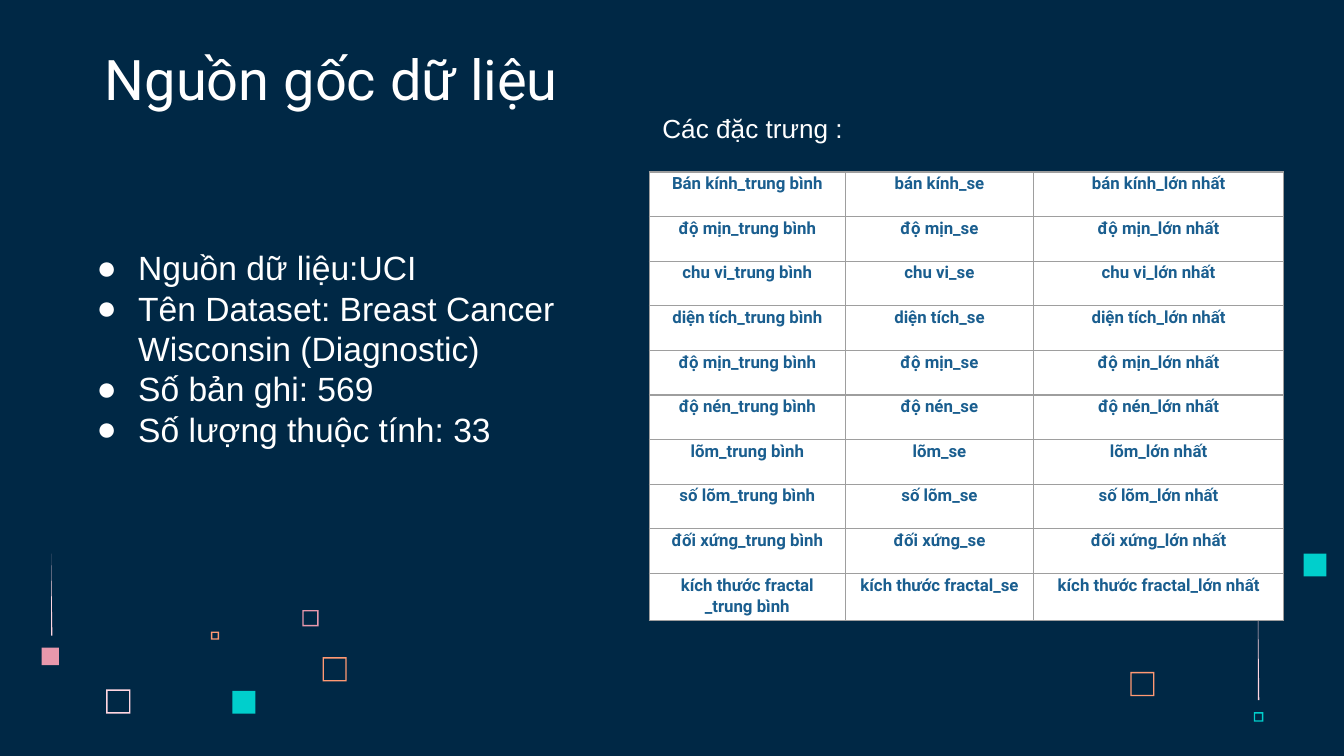
from dataclasses import dataclass

from lxml.etree import SubElement
from pptx import Presentation
from pptx.dml.color import RGBColor
from pptx.enum.shapes import MSO_SHAPE
from pptx.enum.text import MSO_ANCHOR, MSO_AUTO_SIZE, PP_ALIGN
from pptx.oxml.ns import qn
from pptx.util import Inches, Pt


@dataclass(frozen=True)
class Theme:
    background: str = "002845"
    white: str = "FFFFFF"
    cell_text: str = "1A5E8F"
    border: str = "9E9E9E"
    pale_pink: str = "FFD6E1"
    pink: str = "E898AC"
    orange: str = "FF9973"
    teal: str = "00CFCC"
    heading_font: str = "Roboto"
    body_font: str = "Arial"
    title_size: int = 30
    body_size: int = 18
    caption_size: int = 14
    cell_size: int = 9
    border_width: float = 0.75


class SlideBuilder:
    def __init__(self, slide, theme):
        self.slide = slide
        self.theme = theme
        slide.background.fill.solid()
        slide.background.fill.fore_color.rgb = RGBColor.from_string(theme.background)

    def style(self, paragraph, font_name, size, color, bold=False):
        font = paragraph.font
        font.name, font.size, font.bold = font_name, Pt(size), bold
        font.color.rgb = RGBColor.from_string(color)

    def fill(self, shape, color):
        shape.shadow.inherit = False
        shape.fill.solid()
        shape.fill.fore_color.rgb = RGBColor.from_string(color)
        shape.line.fill.background()

    def title(self, text, left, top, width, height):
        shape = self.slide.shapes.title
        shape.left, shape.top = Inches(left), Inches(top)
        shape.width, shape.height = Inches(width), Inches(height)
        frame = shape.text_frame
        frame.auto_size = MSO_AUTO_SIZE.NONE
        frame.vertical_anchor = MSO_ANCHOR.BOTTOM
        frame.margin_left = frame.margin_right = Inches(0.1)
        frame.margin_top = frame.margin_bottom = Inches(0.1)
        frame.text = text
        paragraph = frame.paragraphs[0]
        paragraph.alignment = PP_ALIGN.LEFT
        self.style(paragraph, self.theme.heading_font, self.theme.title_size, self.theme.white)

    def text_box(self, lines, left, top, width, height, size):
        shape = self.slide.shapes.add_textbox(
            Inches(left), Inches(top), Inches(width), Inches(height))
        frame = shape.text_frame
        frame.word_wrap = True
        frame.text = "\n".join(lines)
        for paragraph in frame.paragraphs:
            self.style(paragraph, self.theme.body_font, size, self.theme.white)
        return frame

    def bullet_list(self, items, left, top, width, height):
        frame = self.text_box(items, left, top, width, height, self.theme.body_size)
        frame.margin_top = frame.margin_bottom = Inches(0.1)
        for paragraph in frame.paragraphs:
            properties = paragraph._p.get_or_add_pPr()
            properties.set("marL", str(Inches(0.31)))
            properties.set("indent", str(-Inches(0.31)))
            run_defaults = properties.find(qn("a:defRPr"))
            for tag, attributes in (("a:buFont", {"typeface": self.theme.body_font}),
                                    ("a:buChar", {"char": "●"})):
                run_defaults.addprevious(properties.makeelement(qn(tag), attributes))

    def square(self, left, top, size, color, kind=MSO_SHAPE.RECTANGLE):
        shape = self.slide.shapes.add_shape(
            kind, Inches(left), Inches(top), Inches(size), Inches(size))
        self.fill(shape, color)
        return shape

    def frame(self, left, top, size, color):
        """A square ring with a thin border."""
        shape = self.square(left, top, size, color, MSO_SHAPE.FRAME)
        shape.adjustments[0] = 0.01 / size

    def taper(self, left, top, height, color):
        """A thin vertical sliver that narrows to a point at the top."""
        bottom = top + height
        builder = self.slide.shapes.build_freeform(Inches(left), Inches(top))
        builder.add_line_segments(
            [(Inches(left), Inches(bottom)), (Inches(left + 0.01), Inches(bottom))], close=True)
        self.fill(builder.convert_to_shape(), color)

    def table(self, rows, left, top, column_widths, row_heights):
        table = self.slide.shapes.add_table(
            len(rows), len(column_widths), Inches(left), Inches(top),
            Inches(sum(column_widths)), Inches(sum(row_heights))).table
        table.first_row = table.horz_banding = False
        for column, width in zip(table.columns, column_widths):
            column.width = Inches(width)
        for row, height, texts in zip(table.rows, row_heights, rows):
            row.height = Inches(height)
            for cell, text in zip(row.cells, texts):
                self.cell(cell, text)

    def cell(self, cell, text):
        theme = self.theme
        cell.margin_left = cell.margin_right = Inches(0.05)
        cell.margin_top = cell.margin_bottom = 0
        cell.text = text
        for paragraph in cell.text_frame.paragraphs:
            paragraph.alignment = PP_ALIGN.CENTER
            paragraph.line_spacing = 1.1
            self.style(paragraph, theme.heading_font, theme.cell_size, theme.cell_text, bold=True)
        properties = cell._tc.get_or_add_tcPr()
        for side in ("lnL", "lnR", "lnT", "lnB"):
            line = SubElement(properties, qn(f"a:{side}"), w=str(Pt(theme.border_width)))
            fill = SubElement(line, qn("a:solidFill"))
            SubElement(fill, qn("a:srgbClr"), val=theme.border)
        cell.fill.solid()
        cell.fill.fore_color.rgb = RGBColor.from_string(theme.white)


def main():
    theme = Theme()
    presentation = Presentation()
    presentation.slide_width = Inches(10)
    presentation.slide_height = presentation.slide_width * 9 // 16
    title_only = presentation.slide_layouts[5]
    builder = SlideBuilder(presentation.slides.add_slide(title_only), theme)

    # Decorative rings
    for left, top, size, color in (
        (0.79, 5.13, 0.18, theme.pale_pink),
        (2.25, 4.54, 0.12, theme.pink),
        (1.57, 4.7, 0.06, theme.orange),
        (2.4, 4.89, 0.18, theme.orange),
        (8.41, 5, 0.18, theme.orange),
        (9.33, 5.3, 0.07, theme.teal),
    ):
        builder.frame(left, top, size, color)

    # Decorative solid squares
    for left, top, size, color in (
        (1.73, 5.14, 0.17, theme.teal),
        (9.7, 4.12, 0.17, theme.teal),
        (0.31, 4.82, 0.13, theme.pink),
    ):
        builder.square(left, top, size, color)

    # Decorative slivers
    builder.taper(0.38, 4.12, 0.61, theme.pale_pink)
    builder.taper(9.36, 4.45, 0.76, theme.pale_pink)

    # Title and facts about the data set
    builder.title("Nguồn gốc dữ liệu", 0.68, 0.3, 4.32, 0.63)
    builder.bullet_list([
        "Nguồn dữ liệu:UCI",
        "Tên Dataset: Breast Cancer Wisconsin (Diagnostic)",
        "Số bản ghi: 569",
        "Số lượng thuộc tính: 33",
    ], 0.62, 1.74, 3.87, 2.65)

    # Feature table: every feature has a mean, an error and a largest value
    features = ("bán kính", "độ mịn", "chu vi", "diện tích", "độ mịn", "độ nén",
                "lõm", "số lõm", "đối xứng", "kích thước fractal")
    statistics = ("trung bình", "se", "lớn nhất")
    rows = [[f"{feature}_{statistic}" for statistic in statistics] for feature in features]
    rows[0][0] = "Bán kính_trung bình"
    rows[-1][0] = "kích thước fractal\n_trung bình"
    last_height = 0.35
    regular_height = (3.34 - last_height) / (len(rows) - 1)
    row_heights = [regular_height] * (len(rows) - 1) + [last_height]
    builder.table(rows, 4.83, 1.28, (1.46, 1.4, 1.86), row_heights)
    caption = builder.text_box(["Các đặc trưng :"], 4.83, 0.79, 4.32, 0.34, theme.caption_size)
    caption.auto_size = MSO_AUTO_SIZE.SHAPE_TO_FIT_TEXT

    presentation.save("out.pptx")


if __name__ == "__main__":
    main()
